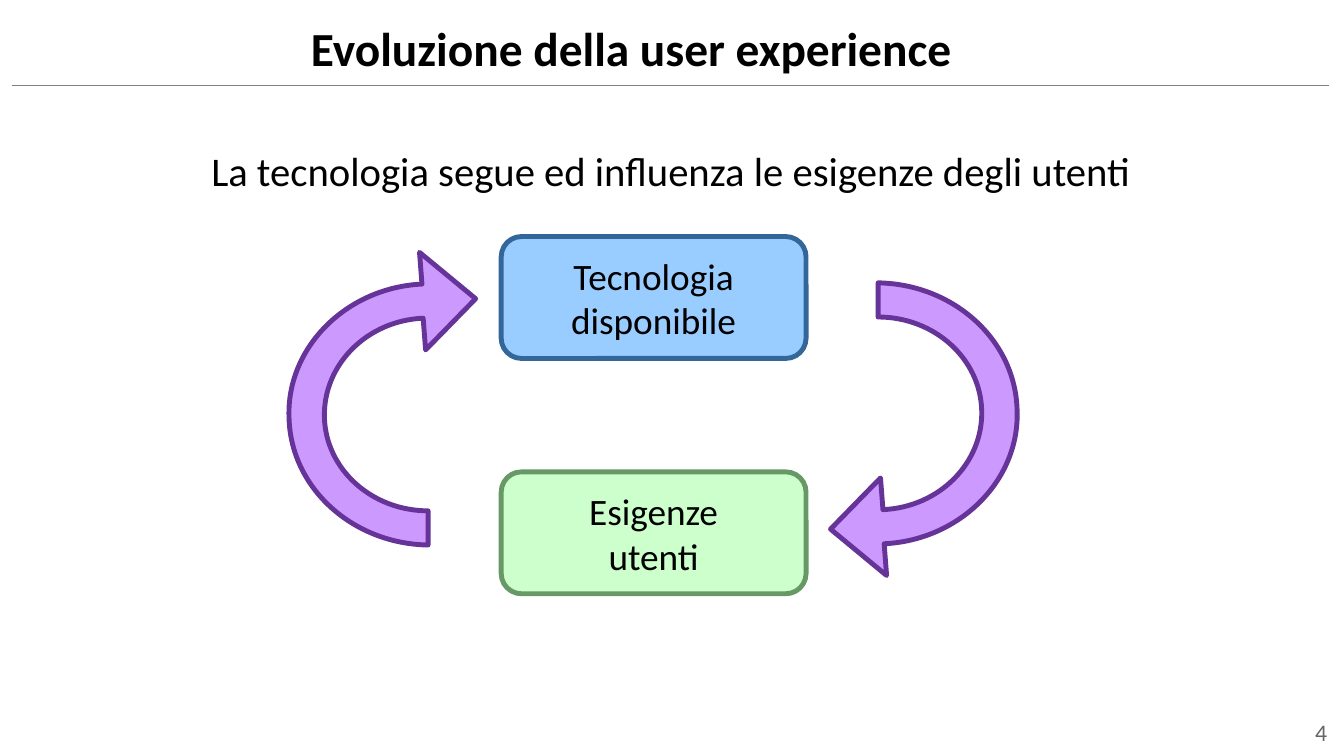
from dataclasses import dataclass

from lxml.etree import SubElement
from pptx import Presentation
from pptx.dml.color import RGBColor
from pptx.enum.shapes import MSO_CONNECTOR, MSO_SHAPE
from pptx.enum.text import MSO_ANCHOR as Anchor, PP_ALIGN as Align
from pptx.oxml.ns import qn
from pptx.util import Inches, Pt

BLACK = RGBColor(0x00, 0x00, 0x00)
GRAY = RGBColor(0x66, 0x66, 0x66)
RULE = RGBColor(0x80, 0x80, 0x80)
BLUE, DARK_BLUE = RGBColor(0x99, 0xCC, 0xFF), RGBColor(0x33, 0x66, 0x99)
GREEN, DARK_GREEN = RGBColor(0xCC, 0xFF, 0xCC), RGBColor(0x66, 0x99, 0x66)
PURPLE, DARK_PURPLE = RGBColor(0xCC, 0x99, 0xFF), RGBColor(0x66, 0x33, 0x99)

Point = tuple[float, float]


@dataclass
class Label:
    text: str
    box: tuple[float, float, float, float]
    insets: tuple[float, float, float, float]
    anchor: Anchor
    align: Align
    font: dict


@dataclass
class Node:
    lines: tuple[str, str]
    top: float
    fill: RGBColor
    line: RGBColor


LABELS = [
    Label("Evoluzione della user experience", (2.24, -0.04, 8.78, 0.72),
          (0.31, 0.14, 0, 0), Anchor.MIDDLE, Align.LEFT,
          {"size": Pt(28), "bold": True}),
    Label("La tecnologia segue ed influenza le esigenze degli utenti",
          (0.3, 1.2, 10.4, 4.8), (0, 0, 0, 0), Anchor.TOP, Align.CENTER,
          {"size": Pt(24)}),
    Label("4", (10.08, 5.81, 0.9, 0.36), (0.1, 0.05, 0.1, 0.05),
          Anchor.BOTTOM, Align.RIGHT, {"size": Pt(14), "color": GRAY}),
]
NODES = [
    Node(("Tecnologia", "disponibile"), 1.94, BLUE, DARK_BLUE),
    Node(("Esigenze", "utenti"), 3.87, GREEN, DARK_GREEN),
]

# Rising arrow: one point is a straight edge, three are a Bezier curve
ARROW_START = (3.47, 2.61)
ARROW_EDGES = [
    [(3.01, 2.63), (2.65, 2.99), (2.66, 3.42)],
    [(2.67, 3.85), (3.05, 4.19), (3.51, 4.19)],
    [(3.51, 4.47)],
    [(2.89, 4.46), (2.38, 4.0), (2.37, 3.42)],
    [(2.35, 2.85), (2.84, 2.36), (3.46, 2.33)],
    [(3.44, 2.07)], [(3.9, 2.45)], [(3.49, 2.87)],
]
# A half turn maps (x, y) to (TURN_X - x, TURN_Y - y)
TURN_X, TURN_Y = 10.71, 6.79


def write_text(tf, lines, insets, anchor, align, font) -> None:
    sides = ("margin_left", "margin_top", "margin_right", "margin_bottom")
    for side, inset in zip(sides, insets):
        setattr(tf, side, Inches(inset))
    tf.vertical_anchor = anchor
    fmt = {"name": "Calibri", "color": BLACK} | font
    color = fmt.pop("color")
    for i, line in enumerate(lines):
        p = tf.paragraphs[0] if i == 0 else tf.add_paragraph()
        p.alignment = align
        r = p.add_run()
        r.text = line
        r.font.color.rgb = color
        for name, value in fmt.items():
            setattr(r.font, name, value)


def paint(sp, fill: RGBColor, line: RGBColor) -> None:
    sp.shadow.inherit = False
    sp.fill.solid()
    sp.fill.fore_color.rgb = fill
    sp.line.color.rgb = line
    sp.line.width = Pt(2.89)
    SubElement(sp._element.spPr.find(qn("a:ln")), qn("a:round"))


def add_label(s, label: Label) -> None:
    tf = s.shapes.add_textbox(*map(Inches, label.box)).text_frame
    tf.word_wrap = True
    write_text(tf, [label.text], label.insets, label.anchor, label.align, label.font)


def add_node(s, node: Node) -> None:
    sp = s.shapes.add_shape(MSO_SHAPE.ROUNDED_RECTANGLE, Inches(4.11),
                            Inches(node.top), Inches(2.5), Inches(1))
    paint(sp, node.fill, node.line)
    sp.text_frame.word_wrap = False
    write_text(sp.text_frame, node.lines, (0.12, 0.07, 0.12, 0.07),
               Anchor.MIDDLE, Align.CENTER, {"size": Pt(22)})


def add_arrow(s, points: list[Point]) -> None:
    corners = [(Inches(x), Inches(y)) for x, y in points]
    builder = s.shapes.build_freeform(*corners[0])
    builder.add_line_segments(corners[1:], close=True)
    sp = builder.convert_to_shape()
    # Join each group of three segments into one curve
    segments = iter(list(sp._element.iter(qn("a:lnTo"))))
    for edge in ARROW_EDGES:
        first, *others = [next(segments) for _ in edge]
        if others:
            first.tag = qn("a:cubicBezTo")
        for segment in others:
            first.append(segment[0])
            segment.getparent().remove(segment)
    paint(sp, PURPLE, DARK_PURPLE)


def main() -> None:
    prs = Presentation()
    prs.slide_width, prs.slide_height = Inches(11.02), Inches(6.2)
    s = prs.slides.add_slide(prs.slide_layouts[6])

    # Rule under the title
    rule = s.shapes.add_connector(MSO_CONNECTOR.STRAIGHT, Inches(0.1), Inches(0.7),
                                  Inches(10.9), Inches(0.7))
    rule.line.color.rgb = RULE
    rule.line.width = Pt(0.79)
    SubElement(rule._element.spPr, qn("a:effectLst"))

    # Texts and boxes
    for label in LABELS:
        add_label(s, label)
    for node in NODES:
        add_node(s, node)

    # Cycle: the falling arrow is the rising one after a half turn
    rising = [ARROW_START] + [point for edge in ARROW_EDGES for point in edge]
    add_arrow(s, rising)
    add_arrow(s, [(TURN_X - x, TURN_Y - y) for x, y in rising])

    prs.save("out.pptx")


if __name__ == "__main__":
    main()
